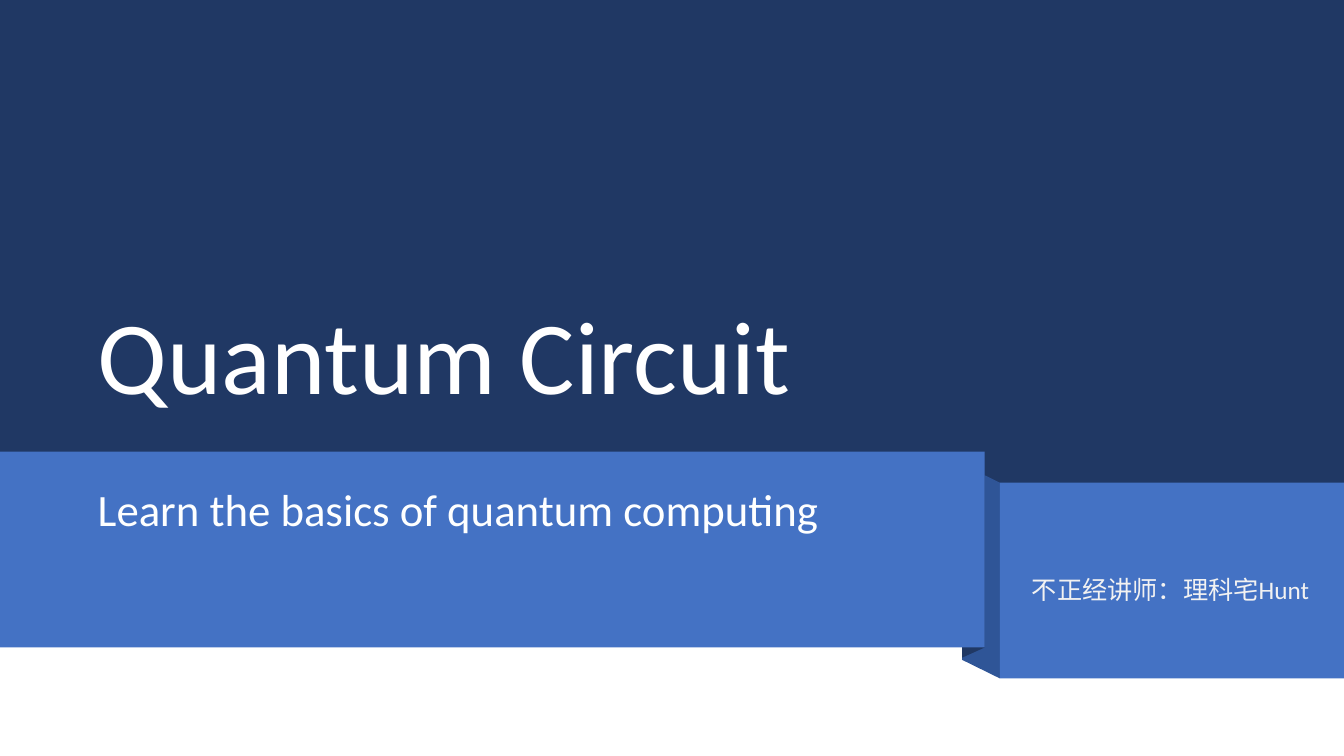
from pptx import Presentation
from pptx.dml.color import RGBColor
from pptx.enum.shapes import MSO_SHAPE
from pptx.enum.text import MSO_ANCHOR, MSO_AUTO_SIZE, PP_ALIGN
from pptx.util import Pt

NAVY = RGBColor(0x20, 0x38, 0x64)
DEEP = RGBColor(0x2F, 0x55, 0x97)
BLUE = RGBColor(0x44, 0x72, 0xC4)
WHITE = RGBColor(0xFF, 0xFF, 0xFF)
SOFT = RGBColor(0xFE, 0xFF, 0xFF)
PALE = RGBColor(0xF2, 0xF2, 0xF2)

WIDTH, HEIGHT = 960, 540
BAND_TOP, BAND_END, BAND_TALL = 322.7, 703.4, 139.8
TAB_TOP, TAB_LEFT = 344.8, 714.3
FOLD_LEFT = 687.2


def assign(item, values):
    for name, value in values.items():
        setattr(item, name, value)


def place(shape, left, top, width, height):
    assign(shape, {"left": Pt(left), "top": Pt(top),
                   "width": Pt(width), "height": Pt(height)})


def paint(shape, color):
    shape.shadow.inherit = False
    shape.fill.solid()
    shape.fill.fore_color.rgb = color
    shape.line.fill.background()


def add_block(slide, left, top, width, height, color):
    box = [Pt(size) for size in (left, top, width, height)]
    paint(slide.shapes.add_shape(MSO_SHAPE.RECTANGLE, *box), color)


def add_fold(slide, left, right, left_top, right_top, color):
    """Draw a slanted ribbon side, as tall as the band."""
    corners = [(right, right_top + BAND_TALL), (left, left_top + BAND_TALL),
               (left, left_top), (right, right_top)]
    points = [(Pt(x), Pt(y)) for x, y in corners]
    pen = slide.shapes.build_freeform(*points[0])
    pen.add_line_segments(points[1:], close=True)
    paint(pen.convert_to_shape(), color)


def write(shape, text, size, color, frame, para):
    assign(shape.text_frame, {"word_wrap": True, **frame})
    line = shape.text_frame.paragraphs[0]
    assign(line, {"alignment": PP_ALIGN.LEFT, **para})
    run = line.add_run()
    run.text = text
    assign(run.font, {"name": "Calibri", "size": Pt(size)})
    run.font.color.rgb = color


def raise_top(slide, shape):
    """Bring a placeholder in front of the blocks."""
    slide.shapes._spTree.append(shape._element)


def main():
    deck = Presentation()
    assign(deck, {"slide_width": Pt(WIDTH), "slide_height": Pt(HEIGHT)})
    slide = deck.slides.add_slide(deck.slide_layouts[0])
    title, lead = slide.placeholders

    add_block(slide, 0, 0, WIDTH, 358.6, NAVY)
    add_fold(slide, FOLD_LEFT, TAB_LEFT, 331.5, TAB_TOP, DEEP)
    add_fold(slide, FOLD_LEFT, BAND_END, 330, BAND_TOP, NAVY)
    add_block(slide, 0, BAND_TOP, BAND_END, BAND_TALL, BLUE)
    add_block(slide, TAB_LEFT, TAB_TOP, WIDTH - TAB_LEFT, BAND_TALL, BLUE)

    fixed = {"auto_size": MSO_AUTO_SIZE.NONE}
    place(title, 62.6, 50.4, 651.6, 251.3)
    write(title, "Quantum Circuit", 74, WHITE,
          {**fixed, "vertical_anchor": MSO_ANCHOR.BOTTOM},
          {"line_spacing": 0.9})
    place(lead, 62.6, TAB_TOP, 627.8, 100.8)
    write(lead, "Learn the basics of quantum computing", 32, SOFT,
          {**fixed, "vertical_anchor": MSO_ANCHOR.TOP},
          {"line_spacing": 0.9, "space_before": Pt(10)})
    for holder in (title, lead):
        raise_top(slide, holder)

    label = slide.shapes.add_textbox(Pt(730), Pt(406.8), Pt(221), Pt(29))
    write(label, "不正经讲师：理科宅Hunt", 18, PALE,
          {"auto_size": MSO_AUTO_SIZE.SHAPE_TO_FIT_TEXT}, {})
    deck.save("out.pptx")


if __name__ == "__main__":
    main()
